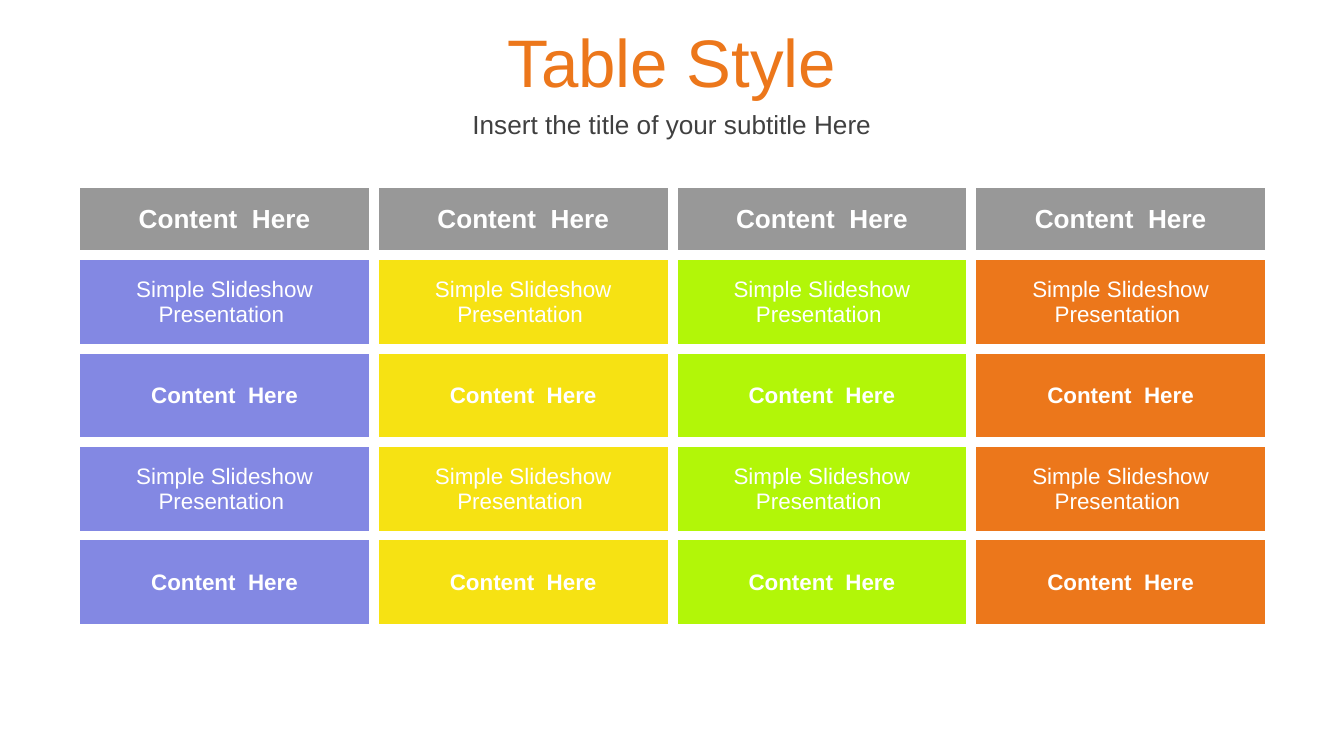
from lxml.etree import SubElement
from pptx import Presentation
from pptx.dml.color import RGBColor
from pptx.enum.text import MSO_ANCHOR, PP_ALIGN
from pptx.oxml.ns import qn
from pptx.util import Inches, Pt

WHITE = RGBColor(0xFF, 0xFF, 0xFF)
DARK = RGBColor(0x40, 0x40, 0x40)
GRAY = RGBColor(0x98, 0x98, 0x98)
ORANGE = RGBColor(0xEC, 0x77, 0x1B)
COLUMN_COLORS = [
    RGBColor(0x83, 0x88, 0xE3),
    RGBColor(0xF6, 0xE2, 0x13),
    RGBColor(0xB2, 0xF6, 0x08),
    ORANGE,
]

SLIDE_W = 10
SLIDE_H = SLIDE_W * 9 / 16
HEADER_H = 0.54
GAP_PT = 6
LABEL = "Content  Here"
DESCRIPTION = "Simple Slideshow Presentation "
# Text, size and boldness of each row
ROWS = [(LABEL, 14, True)] + [(DESCRIPTION, 12, False), (LABEL, 12, True)] * 2


def write_centered(frame, text, size, color, bold=False):
    paragraph = frame.paragraphs[0]
    paragraph.text = text
    paragraph.alignment = PP_ALIGN.CENTER
    font = paragraph.font
    font.name = "Arial"
    font.size = Pt(size)
    font.bold = bold
    font.color.rgb = color


def add_heading(slide, box, text, size, color):
    frame = slide.shapes.add_textbox(*map(Inches, box)).text_frame
    frame.word_wrap = True
    frame.vertical_anchor = MSO_ANCHOR.MIDDLE
    write_centered(frame, text, size, color)


def add_cell_gaps(cell):
    """Draw white borders, which read as gaps between the cells."""
    properties = cell._tc.get_or_add_tcPr()
    for position, side in enumerate(("lnL", "lnR", "lnT", "lnB")):
        border = SubElement(properties, qn(f"a:{side}"), w=str(Pt(GAP_PT)))
        fill = SubElement(border, qn("a:solidFill"))
        SubElement(fill, qn("a:srgbClr"), val=str(WHITE))
        properties.insert(position, border)


def add_content_table(slide, box):
    left, top, width, height = box
    table = slide.shapes.add_table(
        len(ROWS), len(COLUMN_COLORS), *map(Inches, box)
    ).table
    for column in table.columns:
        column.width = Inches(width / len(COLUMN_COLORS))
    body_row_h = (height - HEADER_H) / (len(ROWS) - 1)
    for r, (text, size, bold) in enumerate(ROWS):
        table.rows[r].height = Inches(body_row_h if r else HEADER_H)
        for c, column_color in enumerate(COLUMN_COLORS):
            cell = table.cell(r, c)
            cell.vertical_anchor = MSO_ANCHOR.MIDDLE
            cell.fill.solid()
            cell.fill.fore_color.rgb = column_color if r else GRAY
            add_cell_gaps(cell)
            write_centered(cell.text_frame, text, size, WHITE, bold)


def main():
    deck = Presentation()
    deck.slide_width = Inches(SLIDE_W)
    deck.slide_height = Inches(SLIDE_H)
    slide = deck.slides.add_slide(deck.slide_layouts[6])
    add_heading(slide, (0, 0.14, SLIDE_W, 0.63), "Table Style", 36, ORANGE)
    add_heading(slide, (0, 0.77, SLIDE_W, 0.31),
                "Insert the title of your subtitle Here", 14, DARK)
    add_content_table(slide, (0.56, 1.36, 8.89, 3.32))
    deck.save("out.pptx")


if __name__ == "__main__":
    main()
